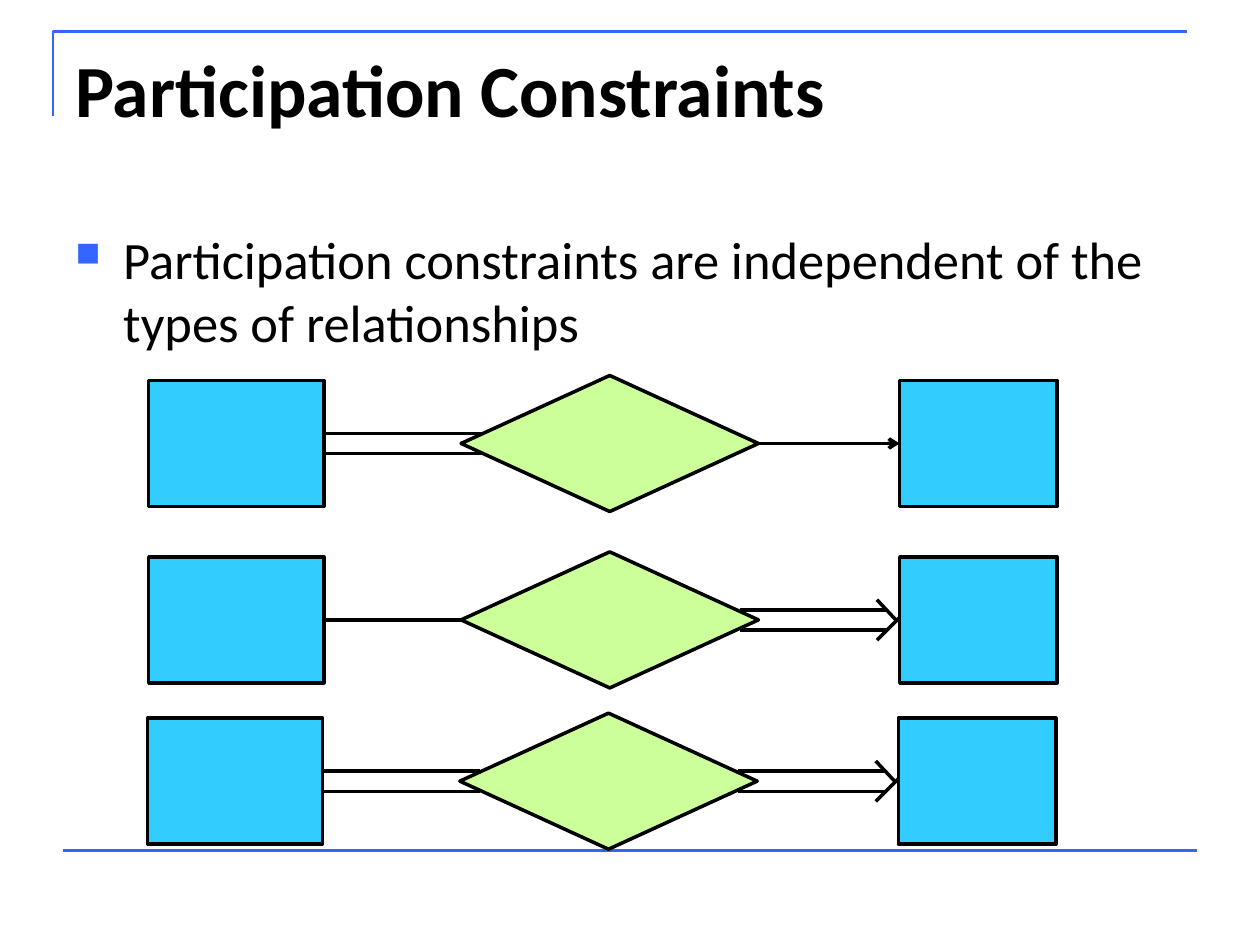
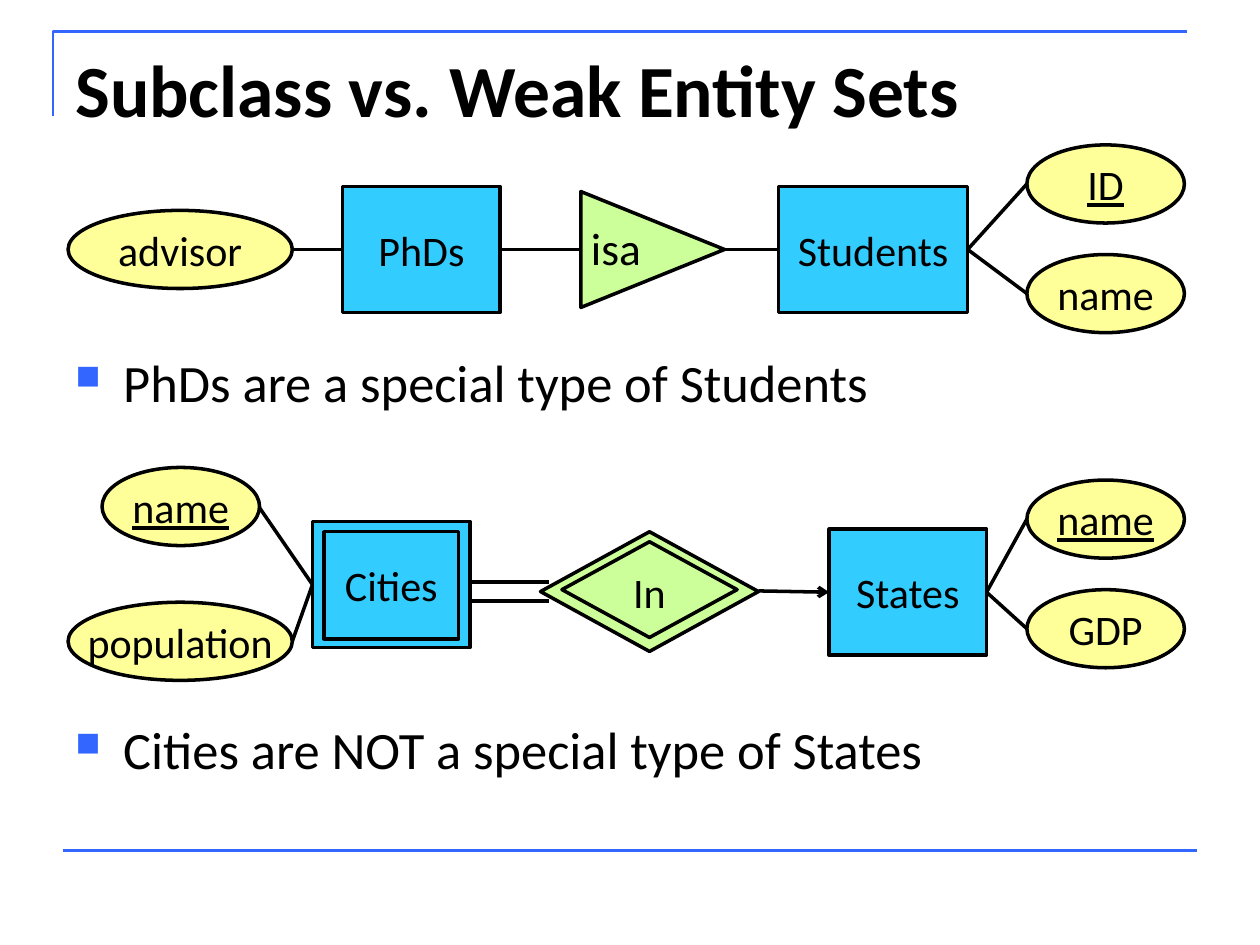
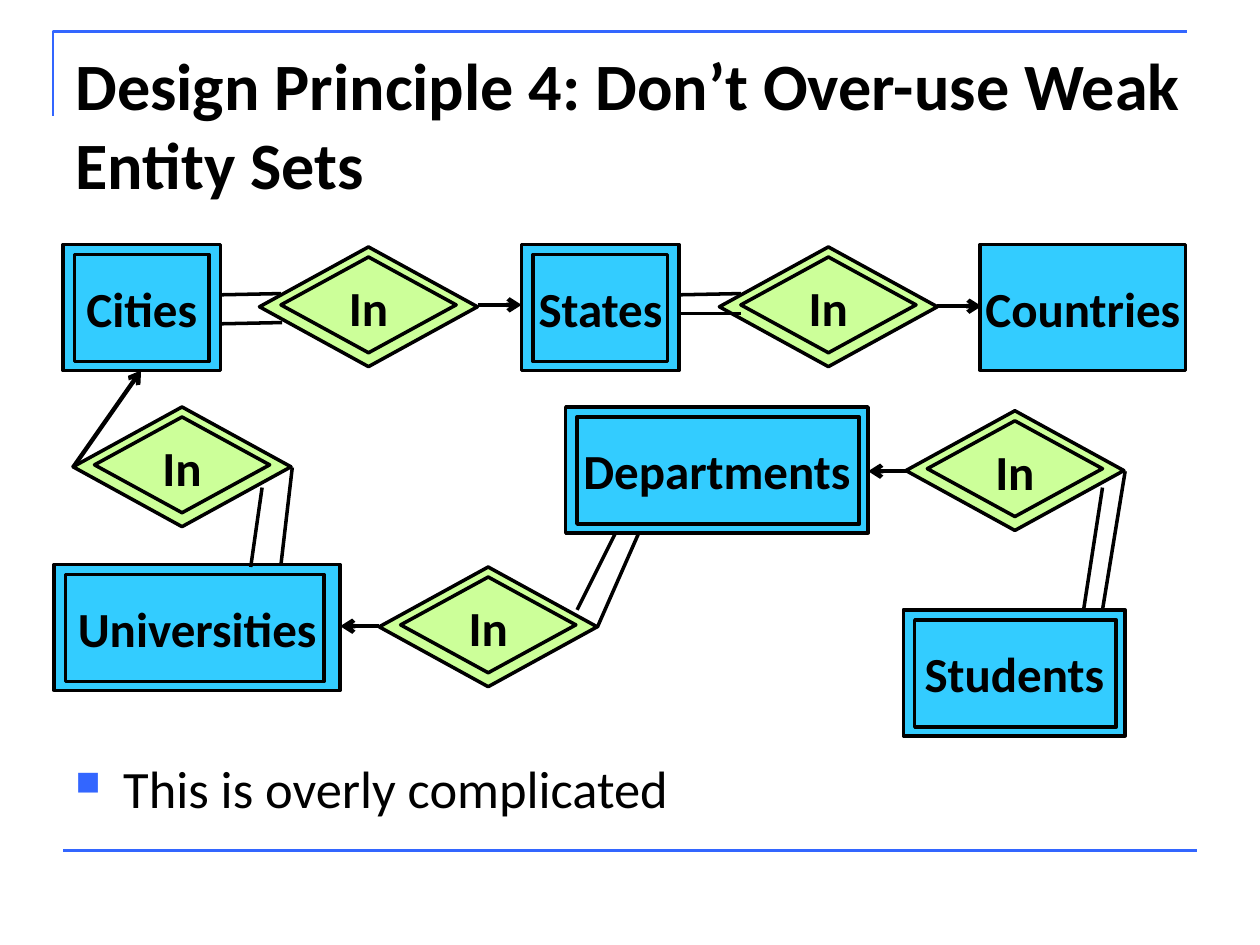
from dataclasses import dataclass

from lxml.etree import SubElement
from pptx import Presentation
from pptx.dml.color import RGBColor
from pptx.enum.shapes import MSO_CONNECTOR, MSO_SHAPE
from pptx.enum.text import MSO_ANCHOR, PP_ALIGN
from pptx.oxml.ns import qn
from pptx.util import Pt

PX = 9144
FONT = "Calibri"
ACCENT = "3366FF"
BLACK = "000000"
ENTITY = "33CCFF"
RELATION = "CCFF99"
ATTRIBUTE = "FFFF99"


def color(value):
    """Turn a hex string into a colour."""
    return RGBColor.from_string(value)


def write(frame, text, size, bold=False, underline=False):
    """Set one paragraph of text and return it."""
    para = frame.paragraphs[0]
    para.text = text
    for span in para.runs:
        span.font.name = FONT
        span.font.size = Pt(size)
        span.font.bold = bold
        span.font.underline = underline
        span.font.color.rgb = color(BLACK)
    return para


@dataclass
class Region:
    """A part of a page whose contents are placed from its top left corner."""

    page: object
    left: int = 0
    top: int = 0
    size: int = 24
    bold: bool = False

    def box(self, kind, left, top, width, height, fill=None, text="", underline=False):
        """Add an outlined preset shape with an optional centred label."""
        shape = self.page.shapes.add_shape(
            kind, (self.left + left) * PX, (self.top + top) * PX, width * PX, height * PX)
        shape.shadow.inherit = False
        if fill:
            shape.fill.solid()
            shape.fill.fore_color.rgb = color(fill)
        else:
            shape.fill.background()
        shape.line.color.rgb = color(BLACK)
        shape.line.width = Pt(2)
        if text:
            frame = shape.text_frame
            frame.word_wrap = False
            frame.vertical_anchor = MSO_ANCHOR.MIDDLE
            write(frame, text, self.size, self.bold, underline).alignment = PP_ALIGN.CENTER
        return shape

    def entity(self, text, left, top, width=125, inner=0):
        """Add an entity set, with a second outline when it is weak."""
        self.box(MSO_SHAPE.RECTANGLE, left, top, width, 100, ENTITY, text)
        if inner:
            self.box(MSO_SHAPE.RECTANGLE, left + 9, top + 8, inner, 85)

    def attribute(self, text, left, top, width=125, key=False):
        """Add an attribute, underlined when it is a key."""
        self.box(MSO_SHAPE.OVAL, left, top, width, 62, ATTRIBUTE, text, key)

    def weak_relation(self, text, left, top):
        """Add a double diamond."""
        self.box(MSO_SHAPE.DIAMOND, left, top, 173, 95, RELATION, text)
        self.box(MSO_SHAPE.DIAMOND, left + 17, top + 8, 139, 76)

    def line(self, x1, y1, x2, y2, width=2, arrow=False, ink=BLACK):
        """Add a straight line, with an open arrowhead at its end if asked."""
        link = self.page.shapes.add_connector(
            MSO_CONNECTOR.STRAIGHT, (self.left + x1) * PX, (self.top + y1) * PX,
            (self.left + x2) * PX, (self.top + y2) * PX)
        link.line.color.rgb = color(ink)
        link.line.width = Pt(width)
        if arrow:
            SubElement(link.line._get_or_add_ln(), qn("a:tailEnd"), type="arrow")
        SubElement(link._element.spPr, qn("a:effectLst"))

    def lines(self, ends, **style):
        """Add several lines of one style."""
        for points in ends:
            self.line(*points, **style)


def add_text_box(page, left, top, width, height):
    """Add a wrapping text box and return its frame."""
    frame = page.shapes.add_textbox(left * PX, top * PX, width * PX, height * PX).text_frame
    frame.word_wrap = True
    return frame


def add_page(deck, title, size=42):
    """Add a page with the corner rule, the bottom rule and a title."""
    page = deck.slides.add_slide(deck.slide_layouts[6])
    builder = page.shapes.build_freeform(42, 92, scale=PX)
    builder.add_line_segments([(42, 25), (942, 25)], close=False)
    corner = builder.convert_to_shape()
    corner.shadow.inherit = False
    corner.fill.background()
    corner.line.color.rgb = color(ACCENT)
    corner.line.width = Pt(1.5)
    Region(page).line(50, 675, 950, 675, width=1.5, ink=ACCENT)
    write(add_text_box(page, 50, 30, 900, 125), title, size, bold=True)
    return page


def add_bullet(page, text, top, height):
    """Add a text box holding one bulleted statement."""
    para = write(add_text_box(page, 50, top, 900, height), text, 30)
    props = para._p.get_or_add_pPr()
    props.set("marL", str(38 * PX))
    props.set("indent", str(-38 * PX))
    SubElement(SubElement(props, qn("a:buClr")), qn("a:srgbClr"), val=ACCENT)
    SubElement(props, qn("a:buSzPct"), val="65000")
    SubElement(props, qn("a:buChar"), char="■")


def draw_participation(region, total_left, total_right):
    """Draw two entity sets joined by a relationship."""
    region.entity("", 596, 0)
    region.entity("", 0, 0, 139)
    region.box(MSO_SHAPE.DIAMOND, 248, -4, 236, 108, RELATION)
    if total_left:
        region.lines([(138, y, 264, y) for y in (42, 58)])
    else:
        region.line(138, 50, 248, 50)
    if total_right:
        region.lines([(469, y, 586, y) for y in (42, 58)])
        region.lines([(596, 48, 578, 66), (594, 51, 578, 34)])
    else:
        region.line(484, 50, 596, 50, arrow=True)


def draw_subclass(region):
    """Draw the isa hierarchy of students."""
    region.entity("PhDs", 218, 33)
    region.entity("Students", 564, 33, 150)
    region.attribute("advisor", 0, 52, 178)
    region.attribute("ID", 761, 0, key=True)
    region.attribute("name", 761, 87)
    region.lines([(178, 83, 218, 83), (343, 83, 564, 83),
                  (761, 31, 714, 83), (761, 118, 714, 83)])
    triangle = region.box(MSO_SHAPE.ISOSCELES_TRIANGLE, 418, 26, 92, 114, RELATION)
    triangle.rotation = 90
    frame = triangle.text_frame
    frame.margin_left = frame.margin_right = frame.margin_top = frame.margin_bottom = 0
    frame.word_wrap = False
    frame.vertical_anchor = MSO_ANCHOR.TOP
    frame._txBody.bodyPr.set("vert", "vert270")
    para = write(frame, "isa", 26)
    para.alignment = PP_ALIGN.LEFT
    para._p.get_or_add_pPr().set("marL", str(8 * PX))


def draw_weak_set(region):
    """Draw the weak entity set of cities."""
    region.entity("Cities", 194, 43, inner=107)
    region.entity("States", 604, 49)
    region.attribute("name", 27, 0, key=True)
    region.attribute("population", 0, 107, 178)
    region.attribute("name", 761, 10, key=True)
    region.attribute("GDP", 761, 97)
    region.weak_relation("In", 375, 51)
    region.lines([(152, 32, 194, 93), (178, 138, 194, 93),
                  (761, 41, 729, 99), (761, 128, 729, 99)])
    region.lines([(319, y, 382, y) for y in (91, 106)])
    region.line(548, 98, 604, 99, arrow=True)


def draw_weak_chain(region):
    """Draw the chain of weak entity sets from students to countries."""
    for entity in [("Cities", 7, 0, 125, 107), ("States", 371, 0, 125, 107),
                   ("Countries", 735, 0, 163), ("Universities", 0, 254, 227, 205),
                   ("Departments", 406, 129, 240, 224), ("Students", 674, 290, 176, 160)]:
        region.entity(*entity)
    for left, top in [(163, 2), (528, 2), (15, 129), (258, 256), (676, 132)]:
        region.weak_relation("In", left, top)
    region.lines([(132, 40, 180, 39), (133, 63, 181, 62),
                  (496, 40, 545, 39), (496, 55, 545, 55),
                  (189, 177, 180, 254), (165, 193, 156, 256),
                  (431, 304, 464, 229), (415, 290, 445, 230),
                  (850, 180, 832, 290), (832, 193, 817, 290)])
    region.lines([(336, 48, 371, 48), (701, 49, 736, 49), (15, 177, 69, 100),
                  (258, 303, 227, 303), (676, 180, 646, 180)], width=2.5, arrow=True)


def main():
    """Build and save the deck."""
    deck = Presentation()
    deck.slide_width, deck.slide_height = 1000 * PX, 750 * PX

    page = add_page(deck, "Participation Constraints")
    add_bullet(page, "Participation constraints are independent of the types of relationships",
               175, 495)
    draw_participation(Region(page, 118, 302), True, False)
    draw_participation(Region(page, 118, 442), False, True)
    draw_participation(Region(page, 117, 570), True, True)

    page = add_page(deck, "Subclass vs. Weak Entity Sets")
    add_bullet(page, "PhDs are a special type of Students", 273, 72)
    add_bullet(page, "Cities are NOT a special type of States", 564, 72)
    draw_subclass(Region(page, 54, 115))
    draw_weak_set(Region(page, 54, 371))

    page = add_page(deck, "Design Principle 4: Don’t Over-use Weak Entity Sets", 37.8)
    draw_weak_chain(Region(page, 43, 194, size=28, bold=True))
    add_bullet(page, "This is overly complicated", 595, 72)

    deck.save("out.pptx")


if __name__ == "__main__":
    main()
